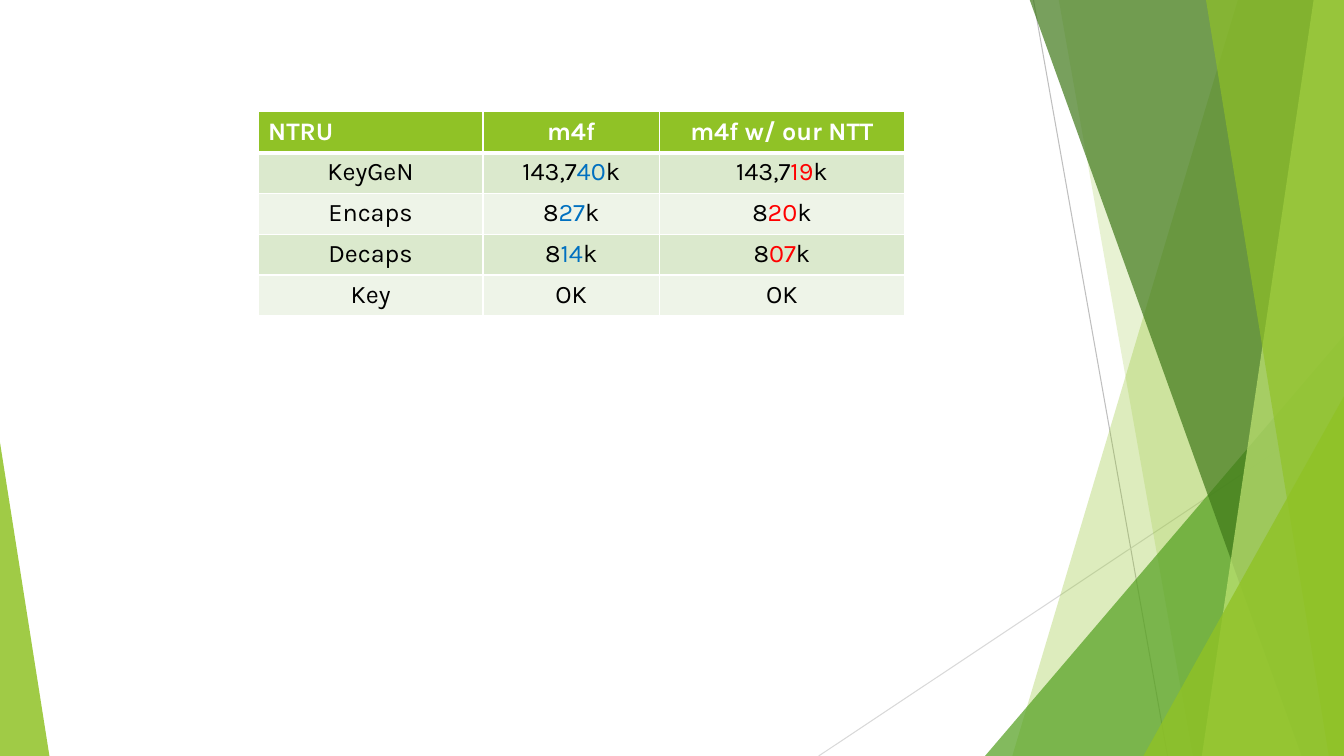
from pptx import Presentation
from pptx.dml.color import RGBColor
from pptx.enum.shapes import MSO_CONNECTOR, MSO_SHAPE
from pptx.enum.text import MSO_ANCHOR, PP_ALIGN
from pptx.oxml import parse_xml
from pptx.oxml.ns import nsdecls, qn
from pptx.util import Inches, Pt
from lxml.etree import SubElement

WIDTH, HEIGHT = 13.33, 7.5
BAND_TOP = -0.01


def rgb(value):
    return RGBColor.from_string(value)


class SlideBuilder:
    font = "Karla"
    size = Pt(18)
    green = "90C226"
    white = "FFFFFF"
    black = "000000"
    row_fills = ("DBE9CD", "EEF4E8")
    accents = (black, "0070C0", "FF0000")

    def __init__(self, slide):
        self.slide = slide
        self.shapes = slide.shapes

    def background(self, color):
        fill = self.slide.background.fill
        fill.solid()
        fill.fore_color.rgb = rgb(color)

    def line(self, x1, y1, x2, y2, color):
        sp = self.shapes.add_connector(
            MSO_CONNECTOR.STRAIGHT, Inches(x1), Inches(y1), Inches(x2), Inches(y2))
        sp.line.color.rgb = rgb(color)
        sp.line.width = Pt(0.75)
        SubElement(sp._element.spPr, qn("a:effectLst"))

    def paint(self, sp, color, opacity):
        sp.shadow.inherit = False
        sp.line.fill.background()
        sp.fill.solid()
        sp.fill.fore_color.rgb = rgb(color)
        clr = sp._element.spPr.find(qn("a:solidFill"))[0]
        SubElement(clr, qn("a:alpha"), val=str(opacity * 1000))

    def band(self, top_x, bottom_x, color, opacity):
        points = [(top_x, BAND_TOP), (WIDTH, BAND_TOP), (WIDTH, HEIGHT), (bottom_x, HEIGHT)]
        start, *rest = [(Inches(x), Inches(y)) for x, y in points]
        fb = self.shapes.build_freeform(*start)
        fb.add_line_segments(rest)
        self.paint(fb.convert_to_shape(), color, opacity)

    def triangle(self, left, top, width, apex, color, opacity):
        sp = self.shapes.add_shape(
            MSO_SHAPE.ISOSCELES_TRIANGLE, Inches(left), Inches(top),
            Inches(width), Inches(HEIGHT - top))
        sp.adjustments[0] = apex
        self.paint(sp, color, opacity)

    def borders(self, cell, top, bottom):
        tc_pr = cell._tc.get_or_add_tcPr()
        for i, (side, width) in enumerate(zip("LRTB", (1, 1, top, bottom))):
            tc_pr.insert(i, parse_xml(
                f'<a:ln{side} {nsdecls("a")} w="{Pt(width)}"><a:solidFill>'
                f'<a:srgbClr val="{self.white}"/></a:solidFill></a:ln{side}>'))

    def cell(self, cell, text, row, col):
        header = row == 0
        cell.fill.solid()
        cell.fill.fore_color.rgb = rgb(
            self.green if header else self.row_fills[(row - 1) % 2])
        self.borders(cell, 3 if row == 1 else 1, 3 if header else 1)
        cell.vertical_anchor = MSO_ANCHOR.TOP
        p = cell.text_frame.paragraphs[0]
        p.alignment = PP_ALIGN.LEFT if header and col == 0 else PP_ALIGN.CENTER
        p.font.name = self.font
        p.font.size = self.size
        p.font.bold = header
        for i, part in enumerate(text.split("|")):
            r = p.add_run()
            r.text = part
            base = self.white if header else self.black
            r.font.color.rgb = rgb(self.accents[col] if i == 1 else base)

    def table(self, left, top, widths, row_height, rows):
        frame = self.shapes.add_table(
            len(rows), len(widths), Inches(left), Inches(top),
            Inches(sum(widths)), Inches(row_height * len(rows)))
        table = frame.table
        for column, width in zip(table.columns, widths):
            column.width = Inches(width)
        for i, texts in enumerate(rows):
            table.rows[i].height = Inches(row_height)
            for j, text in enumerate(texts):
                self.cell(table.cell(i, j), text, i, j)


def main():
    prs = Presentation()
    prs.slide_width, prs.slide_height = Inches(WIDTH), Inches(HEIGHT)
    s = SlideBuilder(prs.slides.add_slide(prs.slide_layouts[6]))
    s.background(s.white)

    s.line(10.25, 0, 11.58, HEIGHT, "BFBFBF")
    s.line(WIDTH, 4.03, 8.12, HEIGHT, "D9D9D9")
    s.band(12.28, 10.04, s.green, 30)
    s.band(10.5, 11.83, s.green, 20)
    s.triangle(9.77, 3.33, 3.56, 1, "54A021", 72)
    s.band(10.21, 12.91, "3F7819", 70)
    s.band(13.03, 11.92, "C0E474", 70)
    s.band(11.96, 13.18, s.green, 65)
    s.triangle(11.34, 3.93, 1.99, 1, s.green, 80)
    s.triangle(0, 4.39, 0.49, 0, s.green, 85)

    s.table(2.56, 1.11, (2.23, 1.75, 2.43), 0.405, [
        ("NTRU", "m4f", "m4f w/ our NTT"),
        ("KeyGeN", "143,7|40|k", "143,7|19|k"),
        ("Encaps", "8|27|k", "8|20|k"),
        ("Decaps", "8|14|k", "8|07|k"),
        ("Key", "OK", "OK"),
    ])
    prs.save("out.pptx")


if __name__ == "__main__":
    main()
